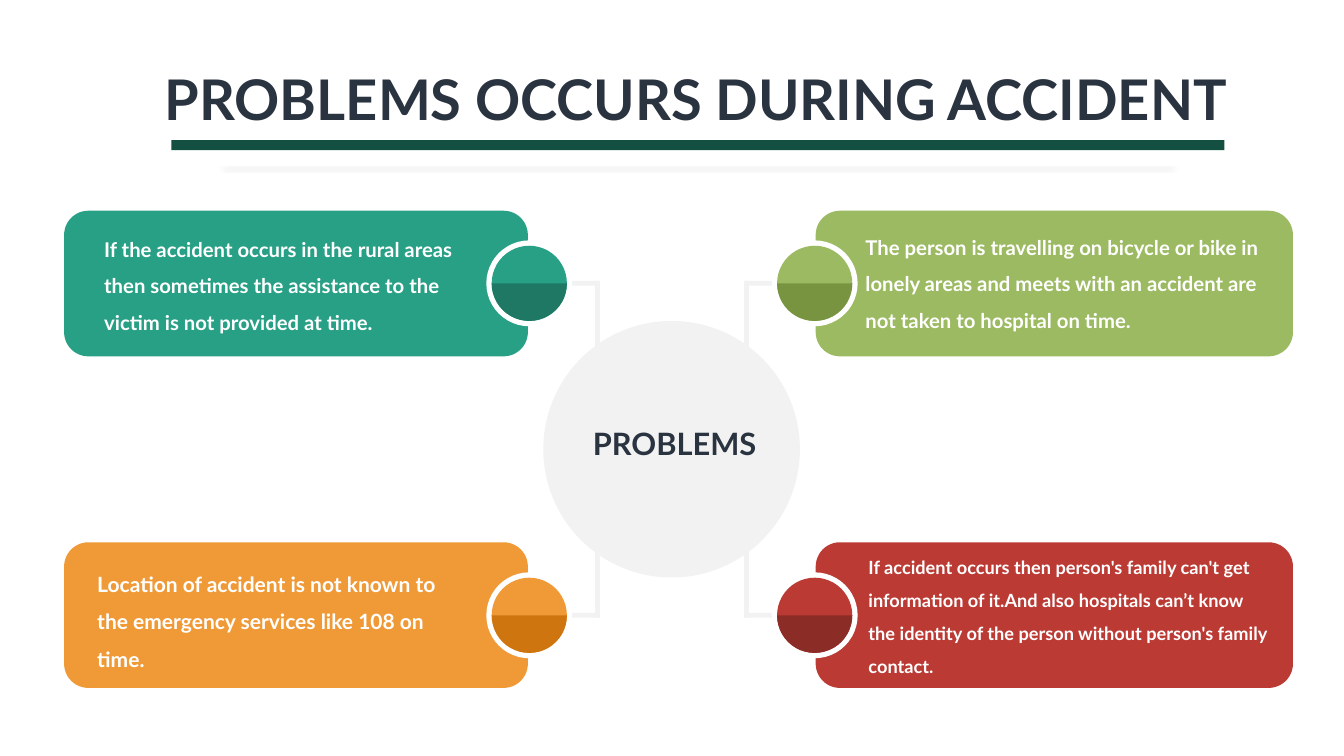
"""Build a slide with four accident problems around a central hub."""
from lxml.etree import SubElement
from pptx import Presentation
from pptx.dml.color import RGBColor
from pptx.enum.shapes import MSO_SHAPE as Shape
from pptx.enum.text import MSO_AUTO_SIZE as AutoSize, PP_ALIGN as Align
from pptx.oxml.ns import qn
from pptx.util import Cm, Pt

TITLE = "PROBLEMS OCCURS DURING ACCIDENT"
HUB = "PROBLEMS"
PROBLEMS = [
    dict(side="left", row="top", colour="28A085", shade="1E7864", size=29,
         text_box=(5.0, 11.2, 19.23, 5.79),
         text="If the accident occurs in the rural areas then sometimes the "
              "assistance to the victim is not provided at time."),
    dict(side="right", row="top", colour="9CBA61", shade="789441", size=29,
         text_box=(43.36, 11.1, 21.13, 5.61),
         text="The person is travelling on bicycle or bike in lonely areas and "
              "meets with an accident are not taken to hospital on time."),
    dict(side="left", row="bottom", colour="F09A37", shade="CE750F", size=30,
         text_box=(4.65, 28.02, 19.25, 5.79),
         text="Location of accident is not known to the emergency services "
              "like 108 on time."),
    dict(side="right", row="bottom", colour="BB3A34", shade="8C2C27", size=26,
         text_box=(43.51, 27.38, 20.68, 8.38),
         text="If accident occurs then person's family can't get information "
              "of it.And also hospitals can’t know the identity of the person "
              "without person's family contact."),
]
INK, WHITE, PALE, GREEN = "2A3340", "FFFFFF", "F2F2F2", "145042"

CARD_X = {"left": (3.23, 23.37), "right": (41.1, 24.05)}
CARD_Y, CARD_HEIGHT = {"top": 10.62, "bottom": 27.33}, 7.34
KNOB_X = {"left": 26.67, "right": 41.05}
KNOB_Y = {"top": 14.28, "bottom": 31.01}
RING, DISC = 4.33, 3.79
WIRE, WIRE_LENGTH = 0.24, 3.56
HUB_X, HUB_Y, HUB_SIZE = 33.84, 22.64, 12.93

deck = Presentation()
deck.slide_width, deck.slide_height = Cm(67.72), Cm(38.1)
slide = deck.slides.add_slide(deck.slide_layouts[6])


def rgb(colour):
    """Turn a hex string into a colour."""
    return RGBColor.from_string(colour)


def add_part(kind, box, colour):
    """Add a plain filled shape."""
    part = slide.shapes.add_shape(kind, *map(Cm, box))
    part.shadow.inherit = False
    part.fill.solid()
    part.fill.fore_color.rgb = rgb(colour)
    part.line.fill.background()
    return part


def add_round(kind, x, y, size, colour):
    """Add a round shape by its centre."""
    return add_part(kind, (x - size / 2, y - size / 2, size, size), colour)


def add_text(text, box, size, colour=WHITE, align=Align.LEFT, spacing=1.0):
    """Add a wrapped bold text box."""
    frame = slide.shapes.add_textbox(*map(Cm, box)).text_frame
    frame.word_wrap = True
    frame.auto_size = AutoSize.SHAPE_TO_FIT_TEXT
    paragraph = frame.paragraphs[0]
    paragraph.alignment, paragraph.line_spacing = align, spacing
    run = paragraph.add_run()
    run.text = text
    run.font.name, run.font.size, run.font.bold = "Lato", Pt(size), True
    run.font.color.rgb = rgb(colour)


def add_underline_shadow(underline):
    """Cast a flat, narrower shadow below the underline."""
    effects = underline._element.spPr.find(qn("a:effectLst"))
    shadow = SubElement(effects, qn("a:outerShdw"), blurRad=str(Pt(12)),
                        dist=str(Pt(25)), dir="5400000", sx="90000",
                        sy="-19000", rotWithShape="0")
    black = SubElement(shadow, qn("a:srgbClr"), val="000000")
    SubElement(black, qn("a:alpha"), val="15000")


for problem in PROBLEMS:
    left, width = CARD_X[problem["side"]]
    add_part(Shape.ROUNDED_RECTANGLE,
             (left, CARD_Y[problem["row"]], width, CARD_HEIGHT), problem["colour"])

add_underline_shadow(add_part(Shape.RECTANGLE, (8.64, 7.06, 53.06, 0.51), GREEN))
add_text(TITLE, (-2.72, 3.15, 75.59, 3.68), 80, INK, Align.CENTER)

for side, knob_x in KNOB_X.items():
    wire_left = knob_x if side == "left" else knob_x - WIRE_LENGTH
    upright = wire_left + WIRE_LENGTH - WIRE if side == "left" else wire_left
    top, bottom = (y - WIRE / 2 for y in KNOB_Y.values())
    add_part(Shape.RECTANGLE, (upright, top, WIRE, bottom - top + WIRE), PALE)
    for y in (top, bottom):
        add_part(Shape.RECTANGLE, (wire_left, y, WIRE_LENGTH, WIRE), PALE)

for problem in PROBLEMS:
    centre = KNOB_X[problem["side"]], KNOB_Y[problem["row"]]
    add_round(Shape.OVAL, *centre, RING, WHITE)
    add_round(Shape.OVAL, *centre, DISC, problem["colour"])
    lower_half = add_round(Shape.CHORD, *centre, DISC, problem["shade"])
    lower_half.adjustments[0], lower_half.adjustments[1] = 0, 108

add_round(Shape.OVAL, HUB_X, HUB_Y, HUB_SIZE, PALE)
add_text(HUB, (28.52, 21.26, 10.95, 2.13), 44, INK, Align.CENTER)
for problem in PROBLEMS:
    add_text(problem["text"], problem["text_box"], problem["size"], spacing=1.5)

deck.save("out.pptx")
